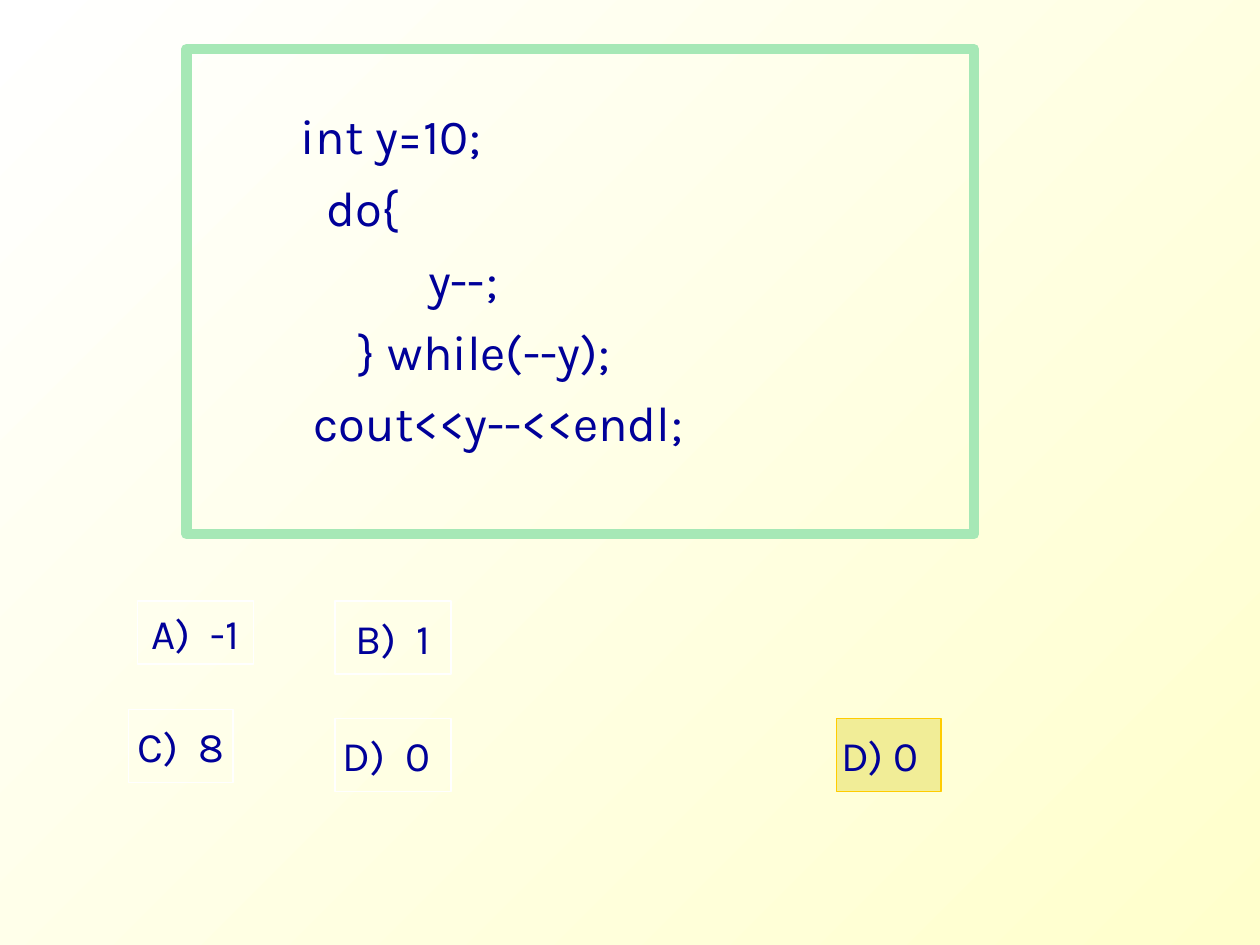
"""Build a quiz slide with a C++ loop, four options and the highlighted answer."""

from dataclasses import dataclass
from typing import Optional

import pptx
import pptx.dml.color
import pptx.enum.shapes
import pptx.enum.text
import pptx.util

WHITE = pptx.dml.color.RGBColor(0xFF, 0xFF, 0xFF)
CREAM = pptx.dml.color.RGBColor(0xFF, 0xFF, 0xCC)
NAVY = pptx.dml.color.RGBColor(0x00, 0x00, 0x99)
GREEN = pptx.dml.color.RGBColor(0xA6, 0xE8, 0xB6)
GOLD = pptx.dml.color.RGBColor(0xFF, 0xCC, 0x00)
KHAKI = pptx.dml.color.RGBColor(0xF1, 0xED, 0x97)

FONT = "Karla"
SLIDE_WIDTH = pptx.util.Inches(10)
SLIDE_HEIGHT = pptx.util.Inches(7.5)


@dataclass(frozen=True)
class Area:
    """A rectangle in percent of the slide's width and height."""

    left: float
    top: float
    width: float
    height: float


@dataclass(frozen=True)
class Option:
    """An answer box; shift is the extra right inset in inches."""

    text: str
    area: Area
    line: pptx.dml.color.RGBColor = WHITE
    fill: Optional[pptx.dml.color.RGBColor] = None
    shift: float = 0


@dataclass(frozen=True)
class CodeLine:
    """A line of code with its indent in inches."""

    text: str
    indent: float


CODE_AREA = Area(14.8, 5.2, 62.5, 51.33)
CODE_LINES = [
    CodeLine("int y=10;", 0.81),
    CodeLine("do{", 1.01),
    CodeLine("y--;", 1.82),
    CodeLine("} while(--y);", 1.27),
    CodeLine("cout<<y--<<endl;", 0.91),
]
OPTIONS = [
    Option("A)  -1", Area(10.9, 63.6, 9.2, 6.67)),
    Option("B)  1", Area(26.6, 63.6, 9.2, 7.73)),
    Option("C)  8", Area(10.2, 75.07, 8.3, 7.73)),
    Option("D)  0", Area(26.6, 76, 9.2, 7.73), shift=0.1),
    Option("D) 0", Area(66.4, 76, 8.3, 7.73), GOLD, KHAKI, 0.14),
]


def add_box(slide, area: Area, line: pptx.dml.color.RGBColor, weight: float,
            fill: Optional[pptx.dml.color.RGBColor] = None):
    """Add an outlined rectangle with vertically centred text."""
    shape = slide.shapes.add_shape(
        pptx.enum.shapes.MSO_SHAPE.RECTANGLE,
        round(SLIDE_WIDTH * area.left / 100), round(SLIDE_HEIGHT * area.top / 100),
        round(SLIDE_WIDTH * area.width / 100), round(SLIDE_HEIGHT * area.height / 100))
    shape.shadow.inherit = False
    if fill is None:
        shape.fill.background()
    else:
        shape.fill.solid()
        shape.fill.fore_color.rgb = fill
    shape.line.color.rgb = line
    shape.line.width = pptx.util.Pt(weight)
    shape.text_frame.vertical_anchor = pptx.enum.text.MSO_ANCHOR.MIDDLE
    return shape


def format_paragraph(paragraph, size: float, space_before: float,
                     alignment: pptx.enum.text.PP_ALIGN) -> None:
    """Set the spacing, alignment and font of a paragraph."""
    paragraph.alignment = alignment
    paragraph.space_before = pptx.util.Pt(space_before)
    for run in paragraph.runs:
        run.font.name = FONT
        run.font.size = pptx.util.Pt(size)
        run.font.color.rgb = NAVY


def add_code(slide) -> None:
    """Draw the framed code with one paragraph per line."""
    text_frame = add_box(slide, CODE_AREA, GREEN, 6).text_frame
    text_frame.word_wrap = True
    text_frame.margin_bottom = pptx.util.Inches(0.14)
    text_frame.text = "\n".join(line.text for line in CODE_LINES)
    for paragraph, line in zip(text_frame.paragraphs, CODE_LINES):
        format_paragraph(paragraph, 28, 17.5, pptx.enum.text.PP_ALIGN.LEFT)
        paragraph.line_spacing = 0.7
        properties = paragraph._p.get_or_add_pPr()
        properties.set("marL", str(pptx.util.Inches(line.indent)))
        properties.set("indent", "0")


def add_option(slide, option: Option) -> None:
    """Draw one answer box."""
    text_frame = add_box(slide, option.area, option.line, 0.75, option.fill).text_frame
    text_frame.word_wrap = False
    text_frame.margin_right = pptx.util.Inches(0.1 + option.shift)
    text_frame.text = option.text
    format_paragraph(text_frame.paragraphs[0], 24, 15, pptx.enum.text.PP_ALIGN.CENTER)


def set_background(slide) -> None:
    """Fill the background with a diagonal gradient."""
    fill = slide.background.fill
    fill.gradient()
    fill.gradient_angle = 315
    for stop, color, position in zip(fill.gradient_stops, (WHITE, CREAM), (0, 1)):
        stop.color.rgb = color
        stop.position = position


def main() -> None:
    """Build and save the presentation."""
    presentation = pptx.Presentation()
    presentation.slide_width = SLIDE_WIDTH
    presentation.slide_height = SLIDE_HEIGHT
    slide = presentation.slides.add_slide(presentation.slide_layouts[6])
    set_background(slide)
    add_code(slide)
    for option in OPTIONS:
        add_option(slide, option)
    presentation.save("out.pptx")


if __name__ == "__main__":
    main()
